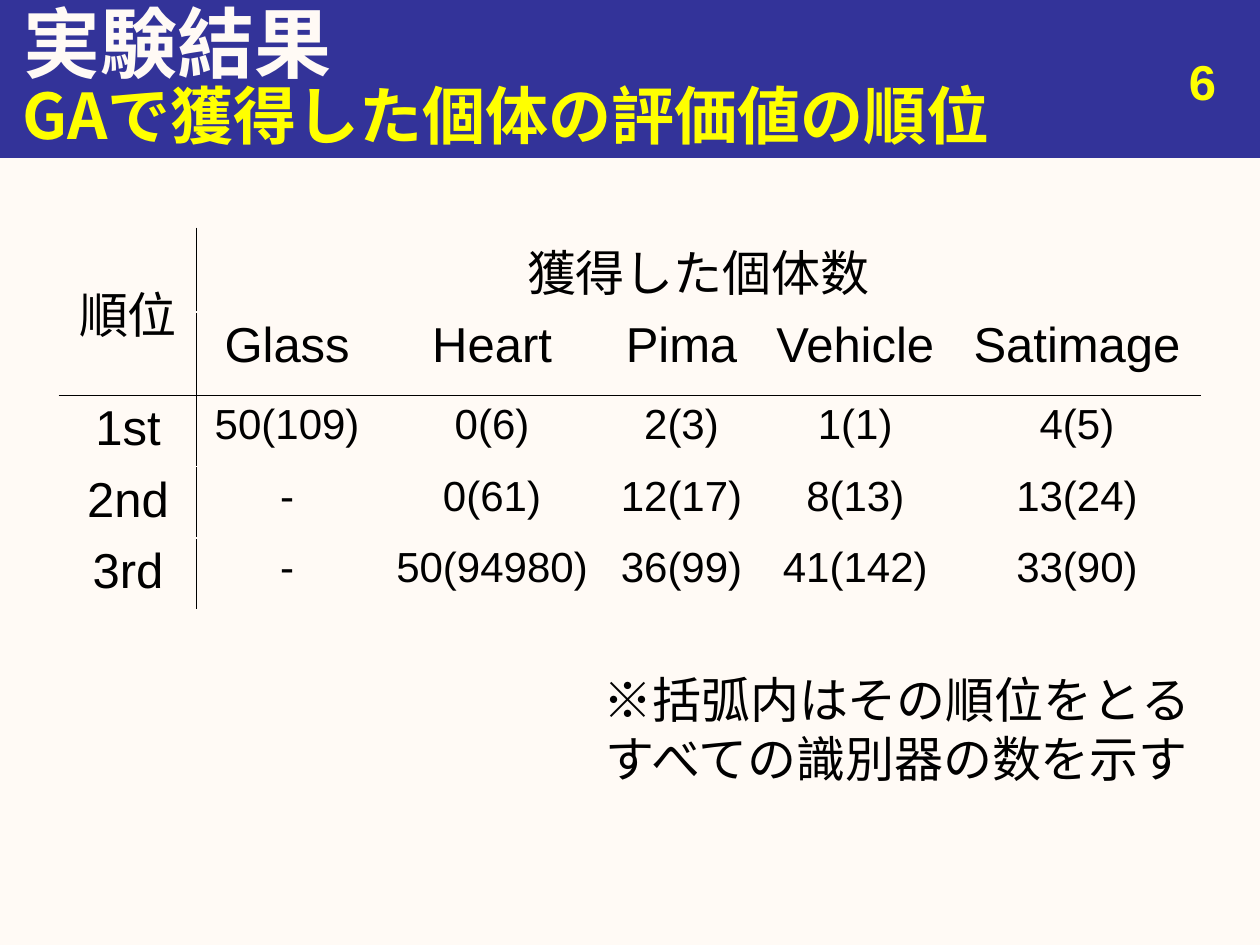
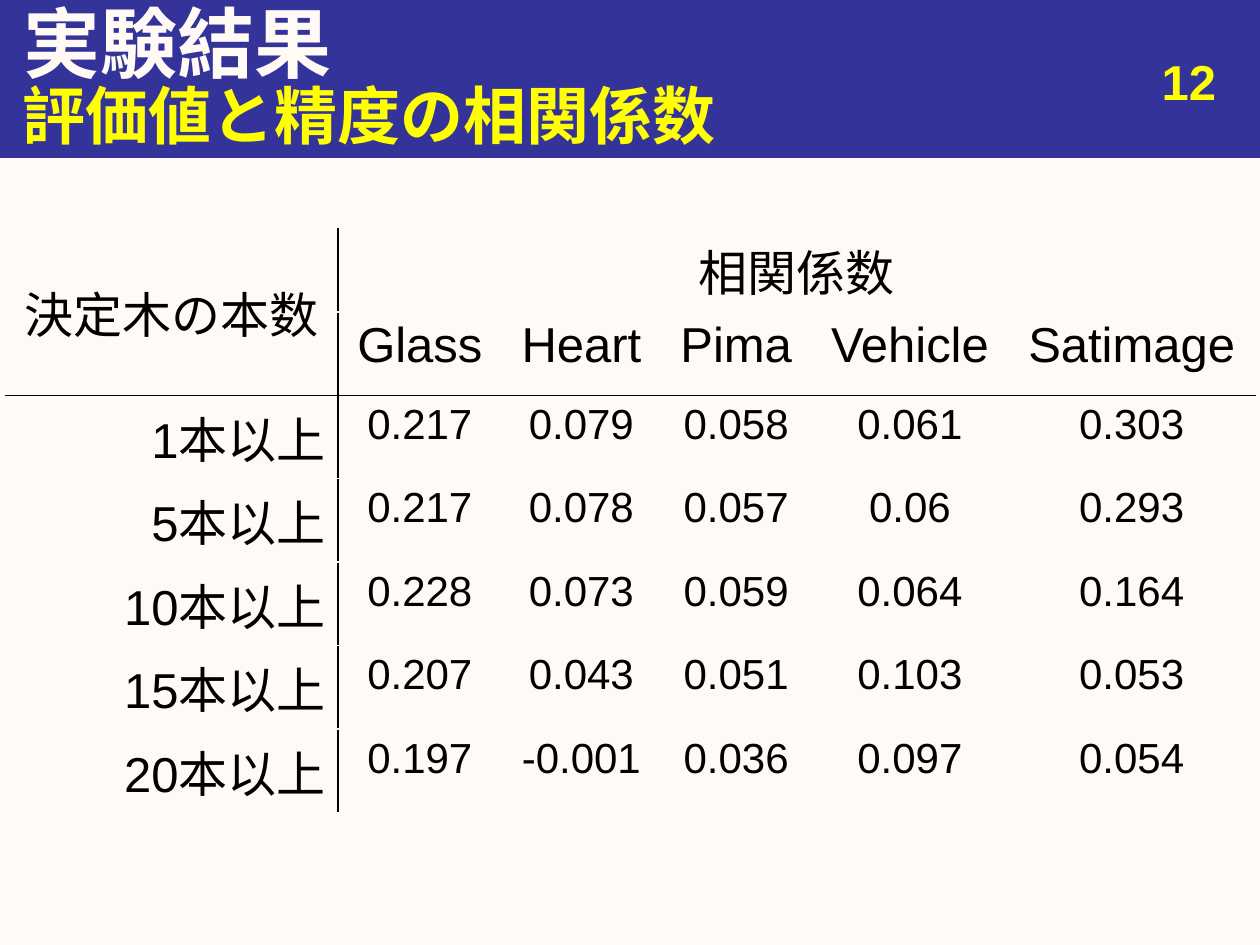
from lxml import etree
from pptx import Presentation
from pptx.dml.color import RGBColor
from pptx.enum import shapes, text
from pptx.oxml import ns
from pptx.util import Pt

COLORS = {"cream": "FFFAF5", "navy": "333399", "yellow": "FFFF00", "black": "000000"}
LATIN, JAPANESE = "Arial", "Noto Sans CJK JP"
ALIGN = text.PP_ALIGN
DATASETS = ["Glass", "Heart", "Pima", "Vehicle", "Satimage"]
HEADER_ROW = 47.7

RESULTS = [
    {
        "subtitle": "GAで獲得した個体の評価値の順位",
        "number": "6",
        "label": "順位",
        "group": "獲得した個体数",
        "label_align": ALIGN.CENTER,
        "left": 34,
        "columns": [78.3, 103.6, 130.6, 86, 112.6, 140.8],
        "row_height": 38.5,
        "rows": [
            ["1st", "50(109)", "0(6)", "2(3)", "1(1)", "4(5)"],
            ["2nd", "-", "0(61)", "12(17)", "8(13)", "13(24)"],
            ["3rd", "-", "50(94980)", "36(99)", "41(142)", "33(90)"],
        ],
        "note": "※括弧内はその順位をとる\vすべての識別器の数を示す",
    },
    {
        "subtitle": "評価値と精度の相関係数",
        "number": "12",
        "label": "決定木の本数",
        "group": "相関係数",
        "label_align": ALIGN.RIGHT,
        "left": 3,
        "columns": [190.1, 93.6, 91, 86, 112.6, 140.8],
        "row_height": HEADER_ROW,
        "rows": [
            ["1本以上", "0.217", "0.079", "0.058", "0.061", "0.303"],
            ["5本以上", "0.217", "0.078", "0.057", "0.06", "0.293"],
            ["10本以上", "0.228", "0.073", "0.059", "0.064", "0.164"],
            ["15本以上", "0.207", "0.043", "0.051", "0.103", "0.053"],
            ["20本以上", "0.197", "-0.001", "0.036", "0.097", "0.054"],
        ],
        "note": None,
    },
]


def color(name):
    return RGBColor.from_string(COLORS[name])


def write(frame, content, size, ink="black", align=ALIGN.LEFT, bold=False, latin=LATIN):
    """Fill a text frame with one paragraph in a single style."""
    paragraph = frame.paragraphs[0]
    paragraph.text = content
    paragraph.alignment = align
    for run in paragraph.runs:
        font = run.font
        font.size, font.bold, font.name = Pt(size), bold, latin
        font.color.rgb = color(ink)
        east_asian = etree.SubElement(font._element, ns.qn("a:ea"))
        east_asian.set("typeface", JAPANESE)


def place(shape, left, top, width, height):
    shape.left, shape.top, shape.width, shape.height = map(Pt, (left, top, width, height))


def add_text(slide, box, content, size, anchor=text.MSO_ANCHOR.TOP, **style):
    frame = slide.shapes.add_textbox(*map(Pt, box)).text_frame
    frame.word_wrap = True
    frame.vertical_anchor = anchor
    write(frame, content, size, **style)


def add_heading(slide, box, subtitle, number):
    """Navy band with title, subtitle and page number."""
    left, top, width, height = box
    band = slide.shapes.add_shape(shapes.MSO_SHAPE.RECTANGLE, *map(Pt, box))
    band.shadow.inherit = False
    band.fill.solid()
    band.fill.fore_color.rgb = band.line.color.rgb = color("navy")
    band.line.width = Pt(0.75)
    title = slide.shapes.title
    title.element.addprevious(band.element)

    place(title, left + 6, top, width - 6, 48)
    title.text_frame.auto_size = text.MSO_AUTO_SIZE.NONE
    title.text_frame.vertical_anchor = text.MSO_ANCHOR.MIDDLE
    write(title.text_frame, "実験結果", 44, ink="cream", bold=True)

    add_text(slide, (left + width - 186, top + 26, 168, 37.5), number, 28,
             ink="yellow", bold=True, align=ALIGN.RIGHT)
    add_text(slide, (left + 6, top + 42.5, width - 6, 45.5), subtitle, 36,
             anchor=text.MSO_ANCHOR.MIDDLE, ink="yellow", bold=True, latin=JAPANESE)


def set_borders(cell, black_sides):
    """Draw four cell borders, black on the named sides and cream elsewhere."""
    properties = cell._tc.get_or_add_tcPr()
    for index, side in enumerate("LRTB"):
        line = etree.Element(ns.qn(f"a:ln{side}"), w=str(Pt(1)))
        fill = etree.SubElement(line, ns.qn("a:solidFill"))
        ink = "black" if side in black_sides else "cream"
        etree.SubElement(fill, ns.qn("a:srgbClr"), val=COLORS[ink])
        properties.insert(index, line)


def add_result_table(slide, left, top, result):
    """Two header rows over the data, ruled below the header and beside the labels."""
    columns = result["columns"]
    grid = [[result["label"], result["group"]] + [""] * 4, [""] + DATASETS] + result["rows"]
    heights = [HEADER_ROW] * 2 + [result["row_height"]] * len(result["rows"])
    table = slide.shapes.add_table(
        len(grid), len(columns), Pt(left), Pt(top), Pt(sum(columns)), Pt(sum(heights))).table
    table.first_row = table.horz_banding = False
    for column, width in zip(table.columns, columns):
        column.width = Pt(width)
    for row, height in zip(table.rows, heights):
        row.height = Pt(height)
    table.cell(0, 0).merge(table.cell(1, 0))
    table.cell(0, 1).merge(table.cell(0, len(columns) - 1))
    table.cell(0, 0).vertical_anchor = text.MSO_ANCHOR.MIDDLE

    for r, values in enumerate(grid):
        for c, value in enumerate(values):
            cell = table.cell(r, c)
            cell.fill.background()
            sides = {0: "R", 1: "L"}.get(c, "")
            if r == 1 or (r, c) == (0, 0):
                sides += "B"
            elif r == 2:
                sides += "T"
            set_borders(cell, sides)
            if value:
                is_data = r > 1 and c > 0
                is_label = r > 1 and c == 0
                write(cell.text_frame, value, 24 if is_data else 28,
                      align=result["label_align"] if is_label else ALIGN.CENTER)


def add_result_slide(presentation, result):
    slide = presentation.slides.add_slide(presentation.slide_layouts[5])
    slide.background.fill.solid()
    slide.background.fill.fore_color.rgb = color("cream")
    add_heading(slide, (0, 0, 720, 90), result["subtitle"], result["number"])
    add_result_table(slide, result["left"], 130.5, result)
    if result["note"]:
        add_text(slide, (332, 379, 361, 75), result["note"], 28, align=ALIGN.CENTER)


def main():
    presentation = Presentation()
    presentation.slide_width, presentation.slide_height = Pt(720), Pt(540)
    for result in RESULTS:
        add_result_slide(presentation, result)
    presentation.save("out.pptx")


if __name__ == "__main__":
    main()
